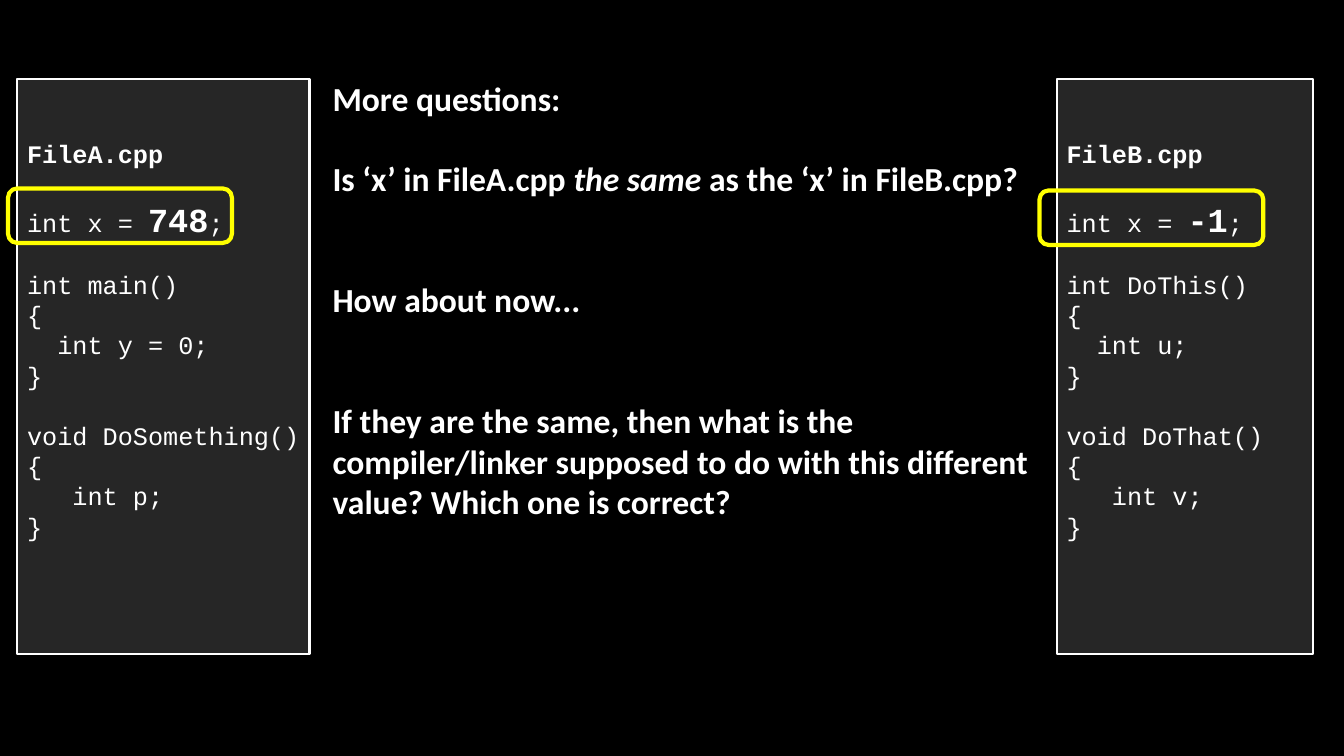
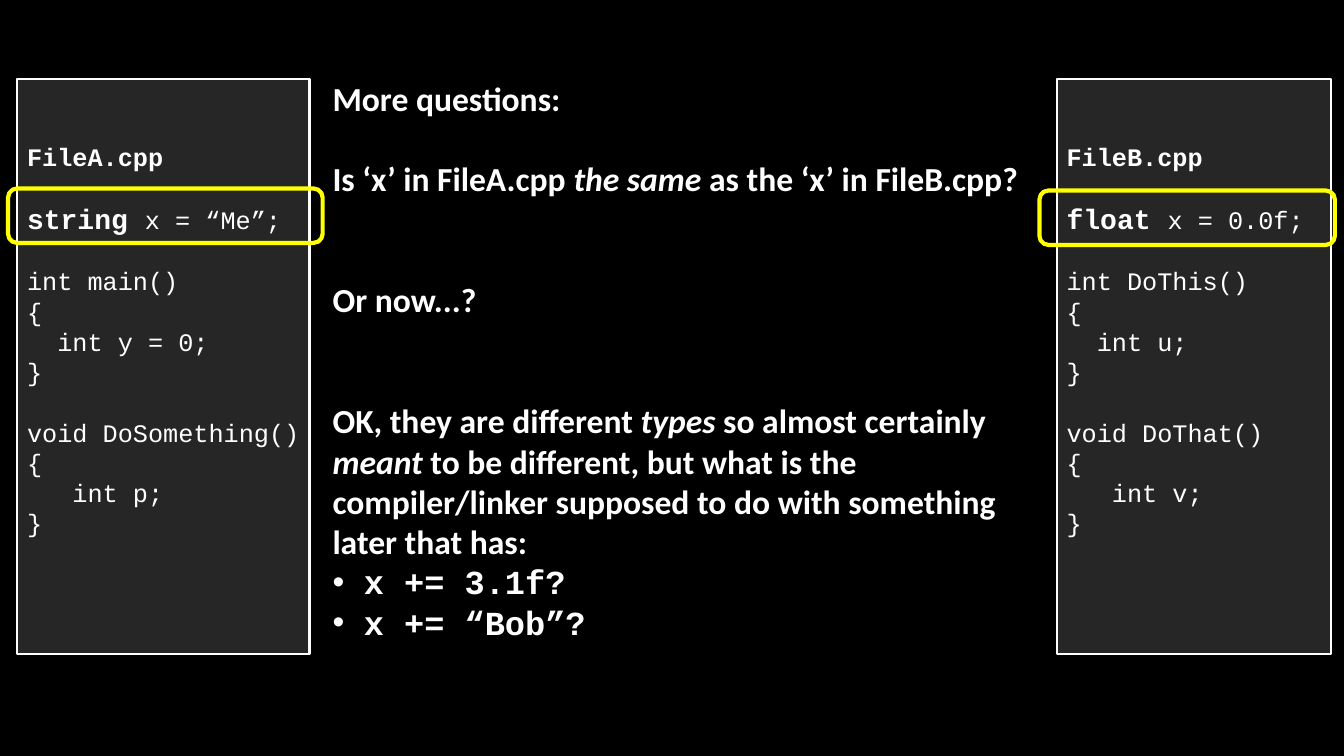
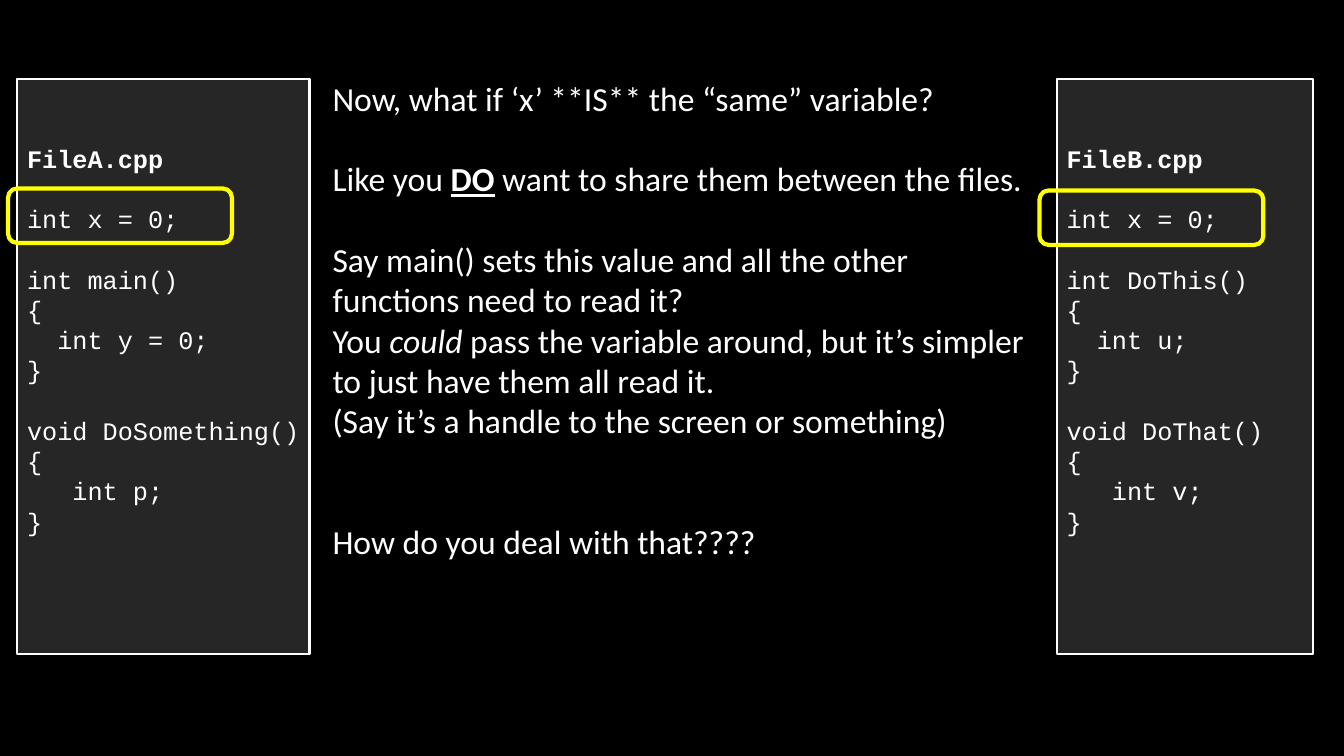
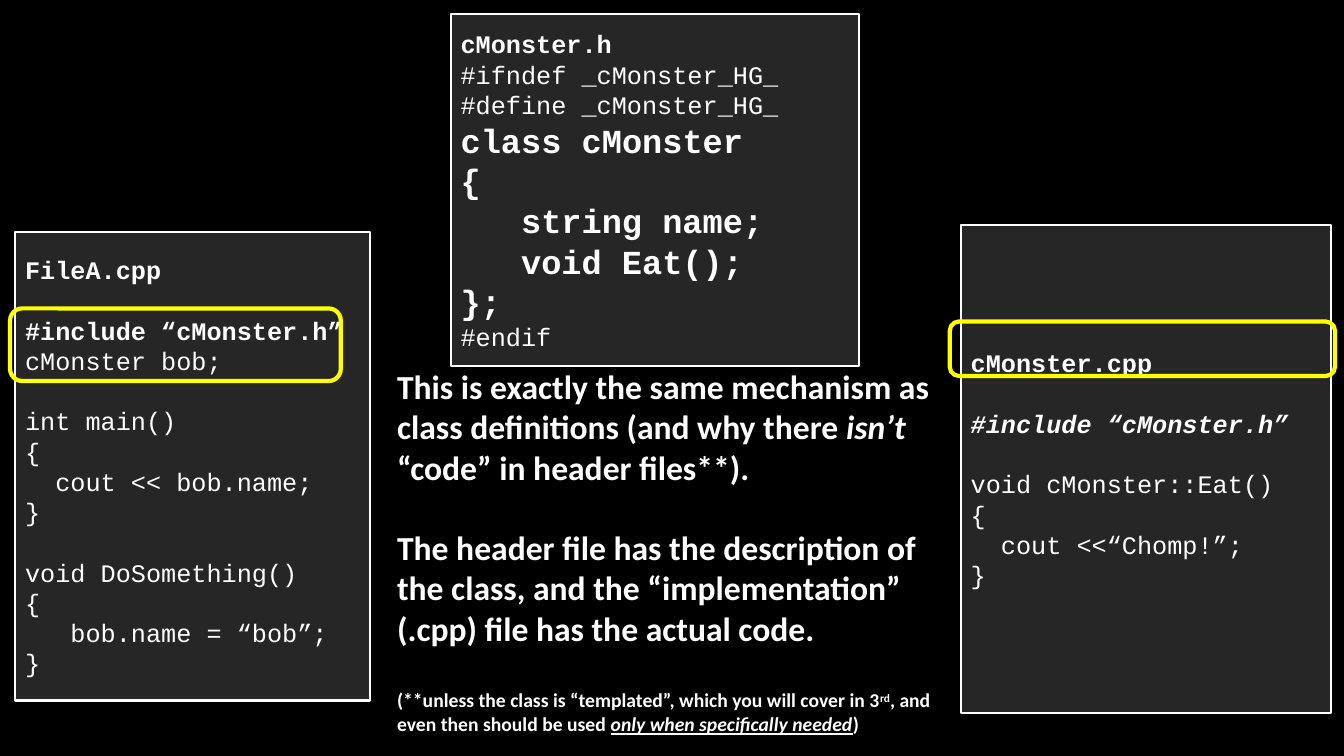
from dataclasses import dataclass
from lxml import etree
from pptx import Presentation
from pptx.dml.color import RGBColor
from pptx.enum.shapes import MSO_SHAPE as Shape
from pptx.enum.text import MSO_ANCHOR as Anchor, PP_ALIGN as Align
from pptx.oxml.ns import qn
from pptx.util import Inches, Pt

COLORS = {"background": "000000", "panel": "262626", "text": "FFFFFF", "highlight": "FFFF00"}
CODE_FONT, BODY_FONT = "Courier New", "Calibri"
CODE_SIZE, BODY_SIZE = 18, 24
LINE_HEIGHT = 1.2       # line height as a multiple of the text size
CHARACTER_WIDTH = 0.6   # width of a Courier New character, same unit
BULLET_INDENT = Inches(0.31)


@dataclass
class Run:
    """A stretch of text; None keeps the style of its paragraph."""
    text: str
    size: float = None
    bold: bool = None
    italic: bool = None
    underline: bool = None
    superscript: bool = False


@dataclass
class Line:
    """A paragraph: gap counts the empty lines before it, indent its leading characters."""
    content: object
    gap: int = 0
    indent: int = 0
    size: float = None
    bold: bool = None
    italic: bool = None
    font: str = None
    bullet: bool = False


def color(name):
    return RGBColor.from_string(COLORS[name])


def add_bullet(paragraph):
    properties = paragraph._p.get_or_add_pPr()
    properties.set("marL", str(BULLET_INDENT))
    properties.set("indent", str(-BULLET_INDENT))
    font = etree.Element(qn("a:buFont"), typeface="Arial")
    bullet = etree.Element(qn("a:buChar"), char="•")
    for position, element in enumerate((font, bullet)):
        properties.insert(position, element)


def write_run(paragraph, run):
    text_run = paragraph.add_run()
    text_run.text = run.text
    font = text_run.font
    if run.size:
        font.size = Pt(run.size)
    for style in ("bold", "italic", "underline"):
        value = getattr(run, style)
        if value is not None:
            setattr(font, style, value)
    if run.superscript:
        font._element.set("baseline", "30000")


def write_lines(frame, lines, font_name, size, bold=False):
    frame.word_wrap = True
    for number, line in enumerate(lines):
        paragraph = frame.paragraphs[0] if number == 0 else frame.add_paragraph()
        paragraph.alignment = Align.LEFT
        paragraph.space_before = Pt(line.gap * size * LINE_HEIGHT)
        font = paragraph.font
        font.name = line.font or font_name
        font.size = Pt(line.size or size)
        font.bold = bold if line.bold is None else line.bold
        font.italic = line.italic
        font.color.rgb = color("text")
        if line.indent:
            margin = Pt(line.indent * (line.size or size) * CHARACTER_WIDTH)
            paragraph._p.get_or_add_pPr().set("marL", str(margin))
        if line.bullet:
            add_bullet(paragraph)
        runs = [Run(line.content)] if isinstance(line.content, str) else line.content
        for run in runs:
            write_run(paragraph, run)


def add_box(slide, kind, box, line_color, line_width):
    shape = slide.shapes.add_shape(kind, *map(Inches, box))
    shape.shadow.inherit = False
    shape.line.color.rgb = color(line_color)
    shape.line.width = Pt(line_width)
    return shape


def add_code_panel(slide, box, lines, space_below=0.05):
    panel = add_box(slide, Shape.RECTANGLE, box, "text", 1.5)
    panel.fill.solid()
    panel.fill.fore_color.rgb = color("panel")
    frame = panel.text_frame
    frame.vertical_anchor = Anchor.MIDDLE
    frame.margin_right = Inches(0.05)
    frame.margin_bottom = Inches(space_below)
    write_lines(frame, lines, CODE_FONT, CODE_SIZE)


def add_highlight(slide, box):
    add_box(slide, Shape.ROUNDED_RECTANGLE, box, "highlight", 3).fill.background()


def add_body(slide, box, lines, bold=True):
    frame = slide.shapes.add_textbox(*map(Inches, box)).text_frame
    write_lines(frame, lines, BODY_FONT, BODY_SIZE, bold)


def function_lines(signature, statement, indent):
    return [Line(signature, gap=1), Line("{"), Line(statement, indent=indent), Line("}")]


def file_lines(name, declaration, first, second):
    return [Line(name, bold=True), Line(declaration, gap=1),
            *function_lines(*first, indent=2), *function_lines(*second, indent=3)]


def add_slide(presentation):
    return presentation.slides.add_slide(presentation.slide_layouts[6])


def build_comparison(presentation, declarations, body, bold=True,
                     right_width=2.54, highlight_widths=(2.22, 2.22)):
    """Two source files left and right, their declarations of x marked, questions between."""
    slide = add_slide(presentation)
    top, height = 0.78, 5.71
    files = (
        (0.17, 2.9, "FileA.cpp", ("int main()", "int y = 0;"), ("void DoSomething()", "int p;")),
        (10.48, right_width, "FileB.cpp", ("int DoThis()", "int u;"), ("void DoThat()", "int v;")),
    )
    for (left, width, name, first, second), declaration in zip(files, declarations):
        add_code_panel(slide, (left, top, width, height),
                       file_lines(name, declaration, first, second), space_below=0.58)
    add_body(slide, (3.2, 0.72, 7.2, 4.95), body, bold)
    for left, mark_top, width in zip((0.08, 10.31), (1.87, 1.89), highlight_widths):
        add_highlight(slide, (left, mark_top, width, 0.54))


def build_header_slide(presentation):
    slide = add_slide(presentation)
    add_code_panel(slide, (0.15, 2.3, 3.52, 4.65), [
        Line("FileA.cpp", bold=True),
        Line("#include “cMonster.h”", gap=1, bold=True),
        Line("cMonster bob;"),
        *function_lines("int main()", "cout << bob.name;", 2),
        *function_lines("void DoSomething()", "bob.name = “bob”;", 3),
    ])
    add_code_panel(slide, (9.53, 2.23, 3.67, 4.84), [
        Line("cMonster.cpp", bold=True),
        Line("#include “cMonster.h”", gap=1, bold=True, italic=True),
        *function_lines("void cMonster::Eat()", "cout <<“Chomp!”;", 2),
    ])
    add_body(slide, (3.84, 3.58, 5.53, 3.8), [
        Line([Run("This is exactly the same mechanism as class definitions (and why there "),
              Run("isn’t ", italic=True), Run("“code” in header files**).")]),
        Line("The header file has the description of the class, and the "
             "“implementation” (.cpp) file has the actual code.", gap=1),
        Line([Run("(**unless the class is “templated”, which you will cover in 3"),
              Run("rd", superscript=True), Run(", and even then should be used "),
              Run("only when specifically needed", italic=True, underline=True), Run(")")],
             gap=1, size=14),
    ])
    add_highlight(slide, (0.1, 3.06, 3.28, 0.72))
    add_highlight(slide, (9.42, 3.19, 3.82, 0.54))
    class_lines = (("class cMonster", 0), ("{", 0), ("string name;", 3),
                   ("void Eat();", 3), ("};", 0))
    add_code_panel(slide, (4.47, 0.14, 4.05, 3.49), [
        Line("cMonster.h", bold=True),
        Line("#ifndef _cMonster_HG_"),
        Line("#define _cMonster_HG_"),
        *(Line(text, indent=indent, size=24, bold=True) for text, indent in class_lines),
        Line("#endif"),
    ])


def main():
    presentation = Presentation()
    presentation.slide_width, presentation.slide_height = Inches(13.33), Inches(7.5)
    background = presentation.slide_master.background.fill
    background.solid()
    background.fore_color.rgb = color("background")

    same_question = [
        Line("More questions:"),
        Line([Run("Is ‘x’ in FileA.cpp "), Run("the same ", italic=True),
              Run("as the ‘x’ in FileB.cpp?")], gap=1),
    ]
    build_comparison(
        presentation,
        [[Run("int x = "), Run(value, size=24, bold=True), Run(";")] for value in ("748", "-1")],
        same_question + [
            Line("How about now...", gap=2),
            Line("If they are the same, then what is the compiler/linker supposed to do "
                 "with this different value? Which one is correct?", gap=2),
        ])
    build_comparison(
        presentation,
        [[Run(kind, size=20, bold=True), Run(rest)]
         for kind, rest in (("string ", "x = “Me”;"), ("float ", "x = 0.0f;"))],
        same_question + [
            Line("Or now...?", gap=2),
            Line([Run("OK, they are different "), Run("types ", italic=True),
                  Run("so almost certainly "), Run("meant ", italic=True),
                  Run("to be different, but what is the compiler/linker supposed to do "
                      "with something later that has:")], gap=2),
            *(Line(text, font=CODE_FONT, bullet=True) for text in ("x += 3.1f?", "x += “Bob”?")),
        ],
        right_width=2.72, highlight_widths=(3.12, 2.93))
    build_comparison(
        presentation,
        ["int x = 0;"] * 2,
        [
            Line("Now, what if ‘x’ **IS** the “same” variable?"),
            Line([Run("Like you "), Run("DO", bold=True, underline=True),
                  Run(" want to share them between the files.")], gap=1),
            Line("Say main() sets this value and all the other functions need to read it?", gap=1),
            Line([Run("You "), Run("could ", italic=True),
                  Run("pass the variable around, but it’s simpler to just have them all read it.")]),
            Line("(Say it’s a handle to the screen or something)"),
            Line("How do you deal with that????", gap=2),
        ],
        bold=False)
    build_header_slide(presentation)
    presentation.save("out.pptx")


if __name__ == "__main__":
    main()
